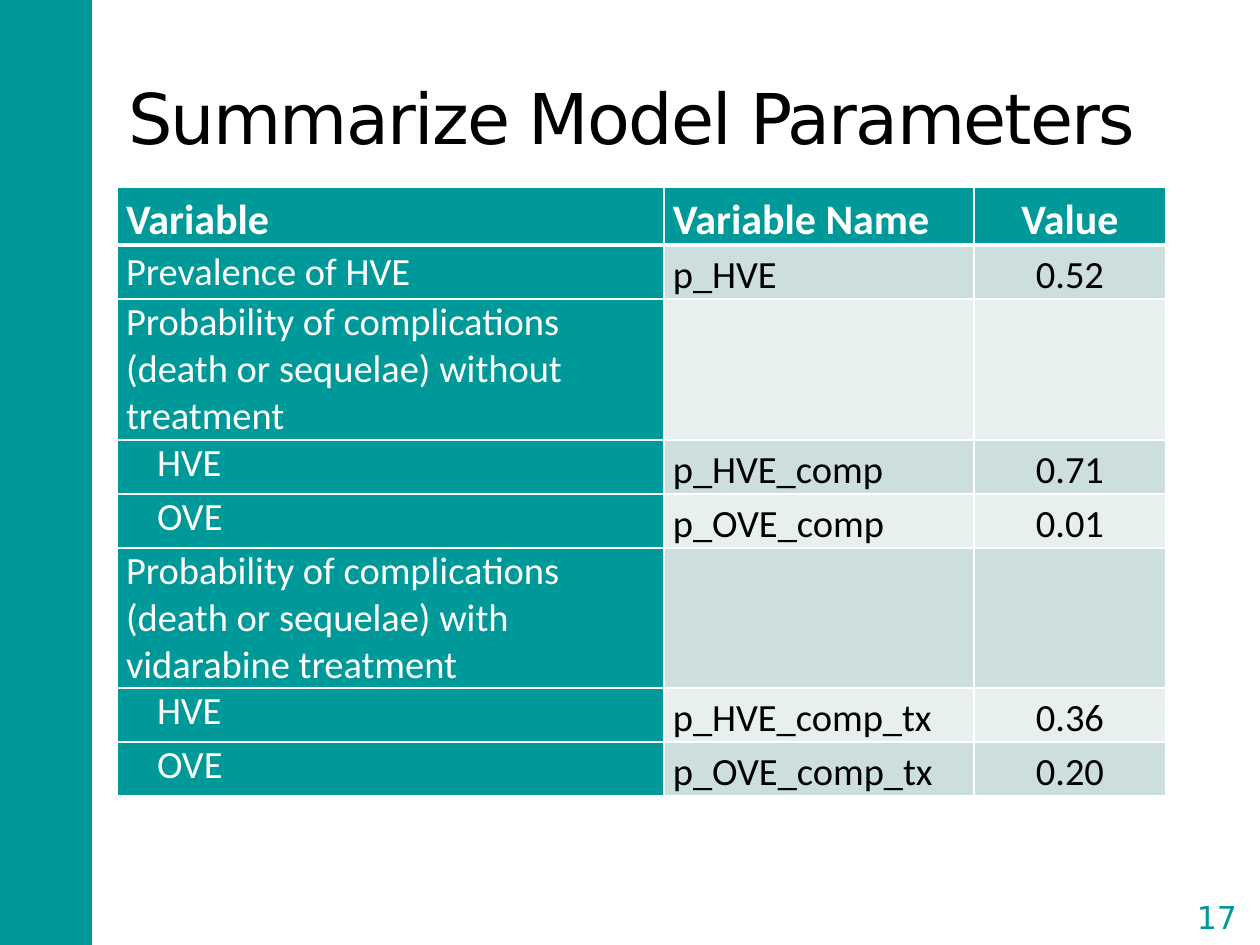
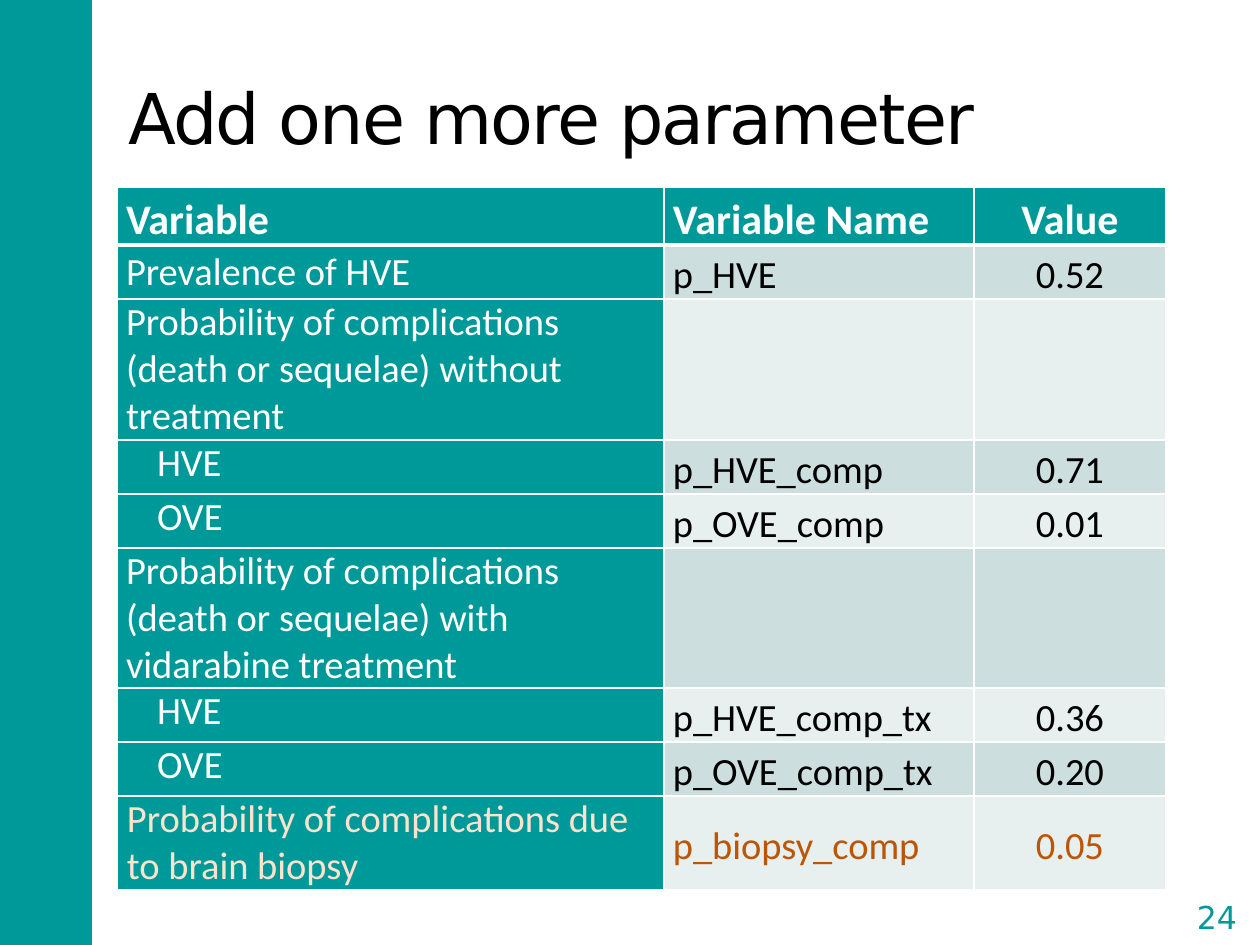
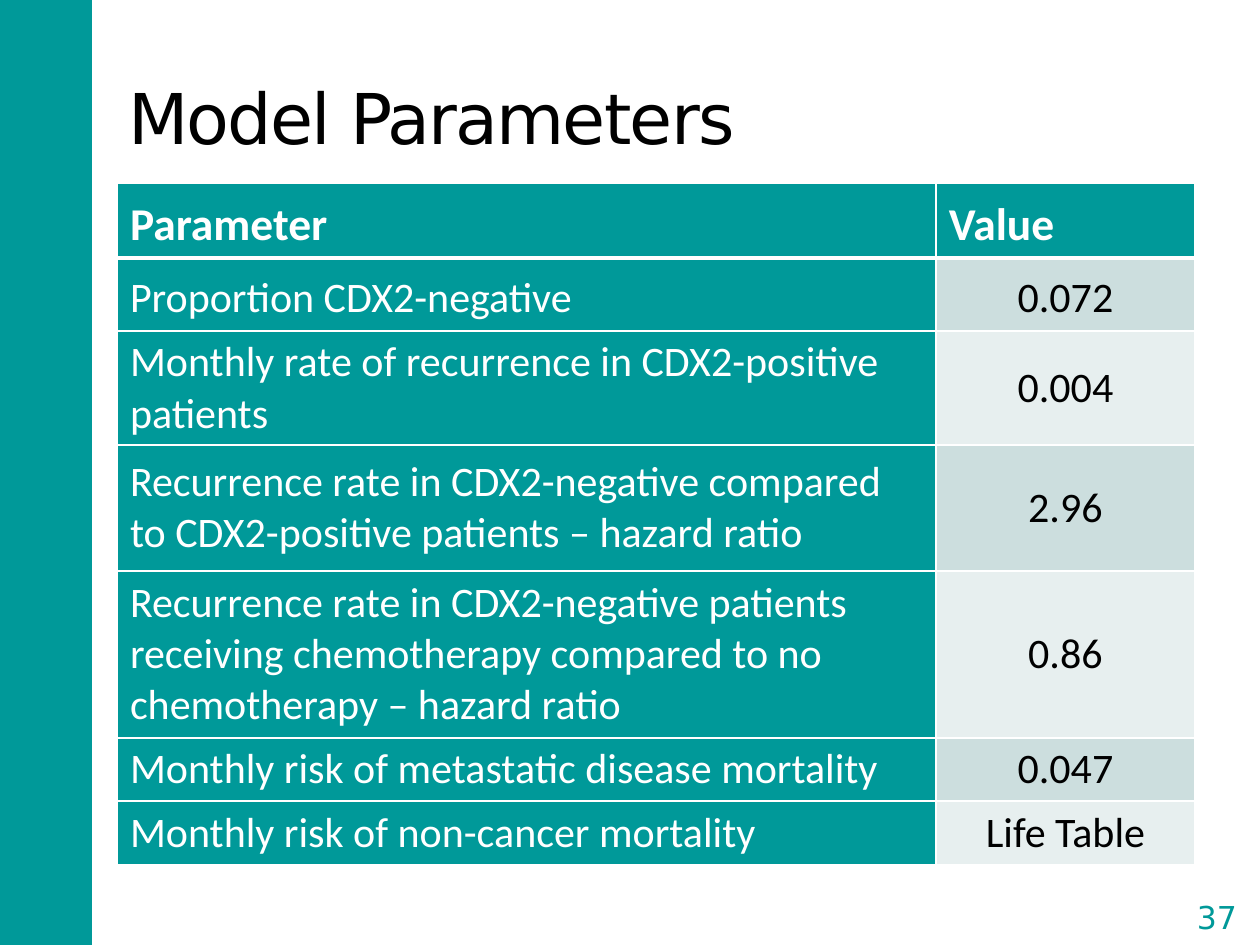
"""Build three slides that tabulate decision model parameters."""
from lxml import etree
from pptx import Presentation
from pptx.dml.color import RGBColor
from pptx.enum.shapes import MSO_SHAPE
from pptx.enum.text import MSO_ANCHOR, PP_ALIGN
from pptx.oxml.ns import qn
from pptx.util import Pt

TEAL, WHITE, BLACK = "009999", "FFFFFF", "000000"
BANDS = ["CCDEDE", "E7EFEF"]
PEACH, ORANGE = "FDE3CE", "BB5606"
TITLE_FONT, TABLE_FONT = "DejaVu Sans", "Calibri"
EMU_PER_PX = 914400 // 126

ENCEPHALITIS_ROWS = [
    ("Variable", "Variable Name", "Value"),
    ("Prevalence of HVE", "p_HVE", "0.52"),
    ("Probability of complications (death or sequelae) without treatment", "", ""),
    ("HVE", "p_HVE_comp", "0.71"),
    ("OVE", "p_OVE_comp", "0.01"),
    ("Probability of complications (death or sequelae) with vidarabine treatment", "", ""),
    ("HVE", "p_HVE_comp_tx", "0.36"),
    ("OVE", "p_OVE_comp_tx", "0.20"),
]
BIOPSY_ROW = ("Probability of complications due to brain biopsy", "p_biopsy_comp", "0.05")
CANCER_ROWS = [
    ("Parameter", "Value"),
    ("Proportion CDX2-negative", "0.072"),
    ("Monthly rate of recurrence in CDX2-positive patients", "0.004"),
    ("Recurrence rate in CDX2-negative compared to CDX2-positive patients – hazard ratio", "2.96"),
    ("Recurrence rate in CDX2-negative patients receiving chemotherapy compared to no "
     "chemotherapy – hazard ratio", "0.86"),
    ("Monthly risk of metastatic disease mortality", "0.047"),
    ("Monthly risk of non-cancer mortality", "Life Table"),
]
ENCEPHALITIS_HEIGHTS = [58, 54, 141, 54, 54, 140, 54, 54]
ENCEPHALITIS_STYLE = {
    "top": 187, "columns": [547, 310, 192], "margins": (9, 0), "sizes": (24, 22),
    "indents": {"HVE": 31, "OVE": 31, BIOPSY_ROW[0]: 1},
    "middle_rows": [], "spaced_labels": [], "spaced_values": range(1, 9),
    "centred_header": True,
}
CANCER_STYLE = {
    "top": 183, "columns": [819, 259], "margins": (13, 6), "sizes": (26, 24),
    "indents": {}, "middle_rows": range(1, 7), "spaced_labels": [1], "spaced_values": [1],
    "centred_header": False,
}
SLIDES = [
    ("Summarize Model Parameters", "17", ENCEPHALITIS_ROWS, ENCEPHALITIS_HEIGHTS,
     ENCEPHALITIS_STYLE),
    ("Add one more parameter", "24", ENCEPHALITIS_ROWS + [BIOPSY_ROW],
     ENCEPHALITIS_HEIGHTS + [94], ENCEPHALITIS_STYLE | {"middle_rows": [8]}),
    ("Model Parameters", "37", CANCER_ROWS, [75, 73, 114, 126, 167, 63, 64], CANCER_STYLE),
]


def px(*lengths):
    return [length * EMU_PER_PX for length in lengths]


def color(hex_string):
    return RGBColor.from_string(hex_string)


def add_run(paragraph, text, size, font, ink, bold=False):
    run = paragraph.add_run()
    run.text = text
    run.font.size = Pt(size)
    run.font.name = font
    run.font.bold = bold
    run.font.color.rgb = color(ink)
    return run


def add_frame(slide, title, number):
    band = slide.shapes.add_shape(MSO_SHAPE.RECTANGLE, *px(0, 0, 92, 945))
    band.shadow.inherit = False
    band.fill.solid()
    band.fill.fore_color.rgb = color(TEAL)
    band.line.fill.background()

    heading = slide.shapes.add_textbox(*px(116, 38, 1050, 157)).text_frame
    heading.word_wrap = True
    heading.vertical_anchor = MSO_ANCHOR.MIDDLE
    run = add_run(heading.paragraphs[0], title, 40, TITLE_FONT, BLACK)
    run.font._element.set("spc", "-100")

    badge = slide.shapes.add_shape(MSO_SHAPE.DOUBLE_BRACKET, *px(1179, 890, 76, 54))
    badge.shadow.inherit = False
    badge.adjustments[0] = 0.18
    badge.fill.background()
    badge.line.color.rgb = color(WHITE)
    badge.line.width = Pt(1.5)
    frame = badge.text_frame
    frame.margin_left = frame.margin_right = frame.margin_top = frame.margin_bottom = 0
    frame.vertical_anchor = MSO_ANCHOR.MIDDLE
    frame.paragraphs[0].alignment = PP_ALIGN.CENTER
    add_run(frame.paragraphs[0], number, 18, TITLE_FONT, TEAL)


def set_borders(cell, row):
    widths = {"lnL": 1, "lnR": 1, "lnT": 3 if row == 1 else 1, "lnB": 3 if row == 0 else 1}
    properties = cell._tc.get_or_add_tcPr()
    for side, width in widths.items():
        line = etree.SubElement(properties, qn(f"a:{side}"), w=str(Pt(width)))
        fill = etree.SubElement(line, qn("a:solidFill"))
        etree.SubElement(fill, qn("a:srgbClr"), val=WHITE)


def fill_cell(cell, text, row, column, label, style):
    is_header, is_label = row == 0, column == 0
    set_borders(cell, row)
    cell.fill.solid()
    cell.fill.fore_color.rgb = color(TEAL if is_header or is_label else BANDS[(row - 1) % 2])
    horizontal, vertical = px(*style["margins"])
    cell.margin_left = cell.margin_right = horizontal
    cell.margin_top = cell.margin_bottom = vertical
    is_middle = is_header or (row == 1 and is_label) or row in style["middle_rows"]
    if label == BIOPSY_ROW[0] and is_label:
        is_middle = False
    cell.vertical_anchor = MSO_ANCHOR.MIDDLE if is_middle else MSO_ANCHOR.TOP
    if not text:
        return
    paragraph = cell.text_frame.paragraphs[0]
    if is_label and text in style["indents"]:
        paragraph._p.get_or_add_pPr().set("marL", str(px(style["indents"][text])[0]))
    if is_header or row in style["spaced_labels" if is_label else "spaced_values"]:
        paragraph.line_spacing = 1.15
    is_value = column == len(style["columns"]) - 1
    if is_value and (not is_header or style["centred_header"]):
        paragraph.alignment = PP_ALIGN.CENTER
    light, dark = (PEACH, ORANGE) if label == BIOPSY_ROW[0] else (WHITE, BLACK)
    ink = light if is_header or is_label else dark
    add_run(paragraph, text, style["sizes"][0 if is_header else 1], TABLE_FONT, ink, is_header)


def add_parameter_table(slide, rows, heights, style):
    columns = style["columns"]
    box = px(117, style["top"], sum(columns), sum(heights))
    table = slide.shapes.add_table(len(rows), len(columns), *box).table
    for column, width in zip(table.columns, px(*columns)):
        column.width = width
    for table_row, height in zip(table.rows, px(*heights)):
        table_row.height = height
    for row, texts in enumerate(rows):
        for column, text in enumerate(texts):
            fill_cell(table.cell(row, column), text, row, column, texts[0], style)


def main():
    presentation = Presentation()
    presentation.slide_width, presentation.slide_height = px(1260, 945)
    for title, number, rows, heights, style in SLIDES:
        slide = presentation.slides.add_slide(presentation.slide_layouts[6])
        add_frame(slide, title, number)
        add_parameter_table(slide, rows, heights, style)
    presentation.save("out.pptx")


if __name__ == "__main__":
    main()
